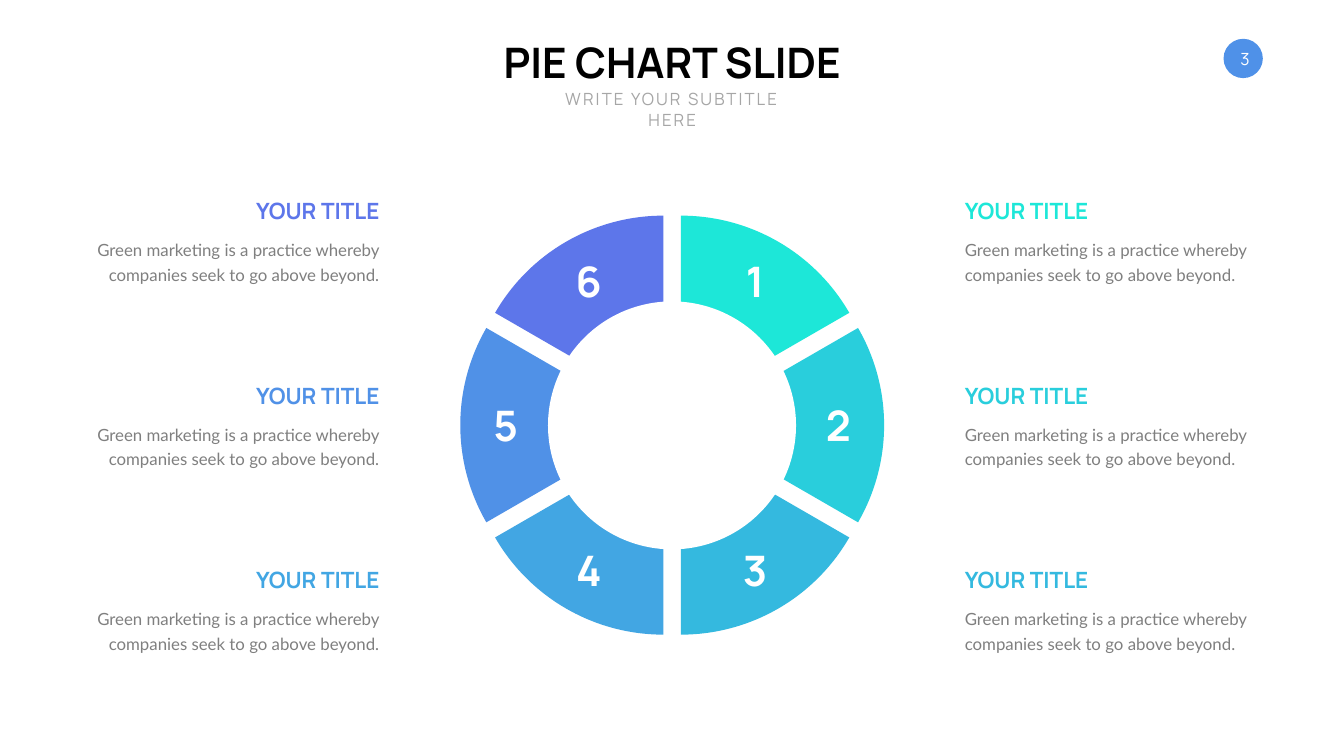
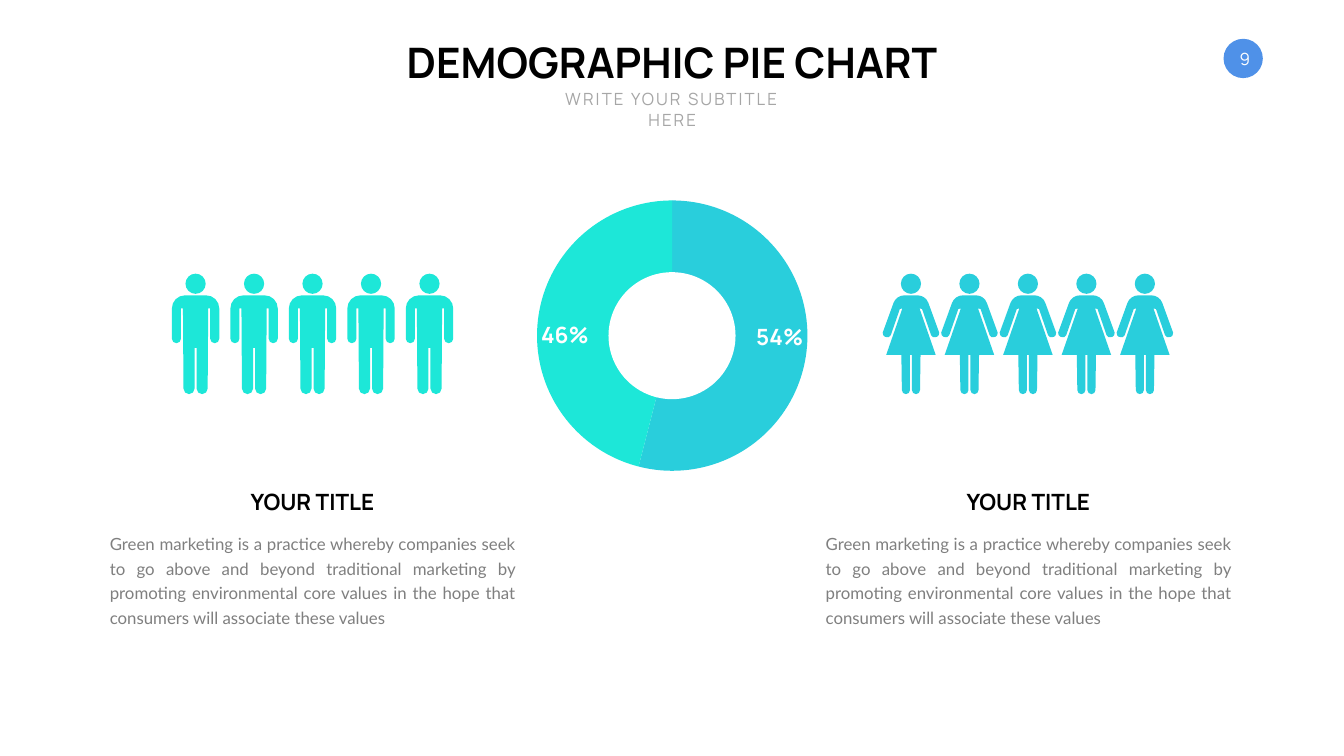
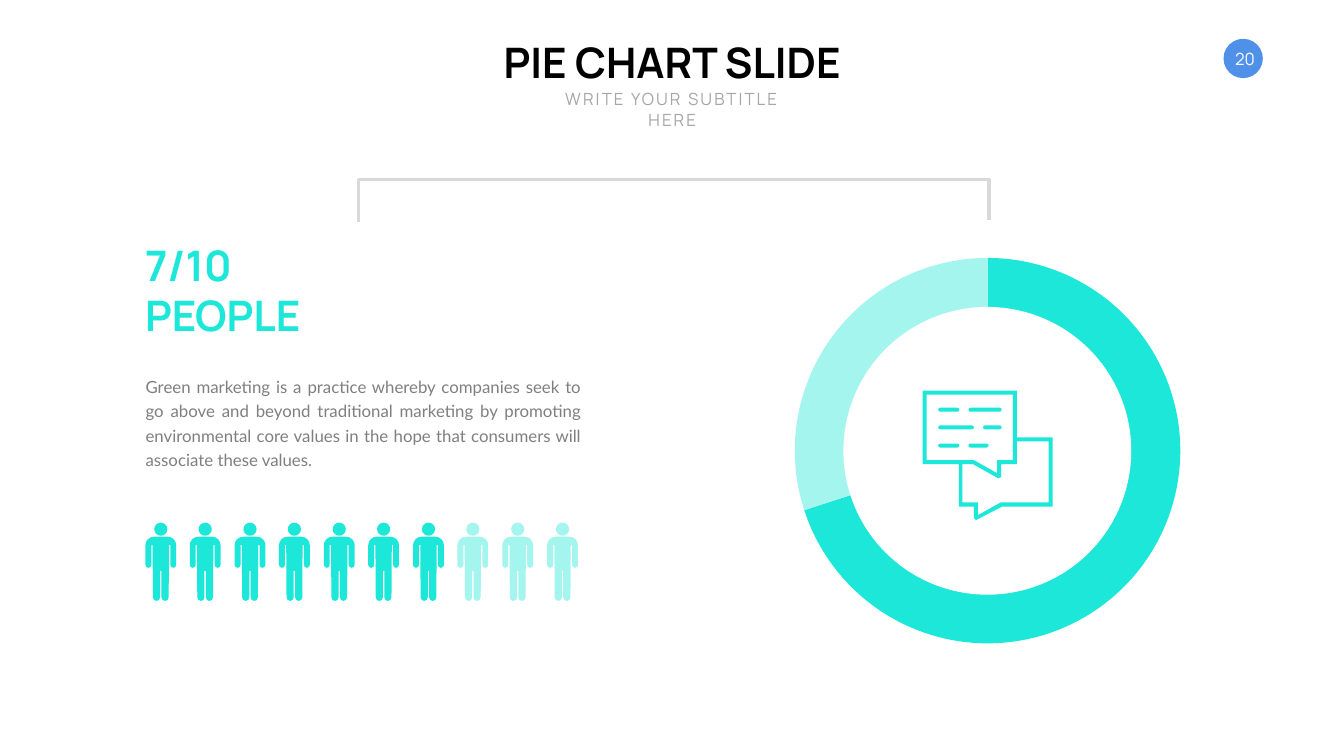
from math import cos, radians, sin

from lxml import etree
from pptx import Presentation
from pptx import util as u
from pptx.chart.data import CategoryChartData
from pptx.dml.color import RGBColor
from pptx.enum import chart as ch
from pptx.enum import shapes, text
from pptx.oxml.ns import qn

PX = 9144  # one px is a hundredth of an inch
WIDE, HIGH, MID = 2666, 1500, 1333
HUES = {
    "ink": "000000", "white": "FFFFFF", "body": "7F7F7F", "sub": "A6A6A6",
    "rule": "D9D9D9", "badge": "4F91E8", "pale": "A5F5EF",
    "aqua": "1DE7D8", "cyan": "29CEDC", "sky": "34B9DF",
    "azure": "42A6E3", "blue": "5091E7", "iris": "5D76EA",
}
HEAD, BODY = "Manrope", "Lato"
LEFT, RIGHT = text.PP_ALIGN.LEFT, text.PP_ALIGN.RIGHT
CENTER, FULL = text.PP_ALIGN.CENTER, text.PP_ALIGN.JUSTIFY
TOP, MIDDLE = text.MSO_ANCHOR.TOP, text.MSO_ANCHOR.MIDDLE

SHORT = "Green marketing is a practice whereby companies seek to go above beyond."
LONG = ("Green marketing is a practice whereby companies seek to go above and "
        "beyond traditional marketing by promoting environmental core values "
        "in the hope that consumers will associate these values")


# Outlines, as lists of points
def arc(cx, cy, r, start, end, steps=4):
    turns = [radians(start + (end - start) * i / steps) for i in range(steps + 1)]
    return [(cx + r * cos(t), cy + r * sin(t)) for t in turns]


def person(half):
    """Mirror half a body about x = 0 and add the head."""
    return [half + [(-x, y) for x, y in reversed(half)], arc(0, 20, 20, 0, 337.5, 15)]


def slot(left, right, y):
    return arc(right - 4, y, 4, -90, 90) + arc(left + 4, y, 4, 90, 270)


MAN = person(arc(21, 69, 26, -90, 0) + arc(38, 129, 9, 0, 180)
             + [(29, 69), (25, 69)] + arc(13, 228, 11, 0, 180) + [(2, 147)])
WOMAN = person(arc(13, 66, 23, -90, -20)
               + [(56, 117), (55, 122), (52, 125), (48, 126), (44, 126), (40, 122),
                  (22, 70), (17, 69), (49, 161), (19, 161)]
               + arc(10, 231, 8, 0, 180) + [(2, 161)])
CHAT = [
    [(0, 0), (187, 0), (187, 93), (258, 93), (258, 230), (158, 230), (106, 257),
     (102, 253), (102, 230), (72, 230), (72, 146), (0, 146)],
    [(8, 8), (8, 138), (102, 138), (148, 164), (148, 138), (179, 138), (179, 8)],
    [(187, 101), (187, 146), (156, 146), (156, 172), (150, 174), (100, 146),
     (79, 146), (79, 222), (110, 222), (110, 247), (155, 222), (250, 222), (250, 101)],
] + [slot(*s) for s in [(31, 73, 38), (91, 157, 38), (31, 102, 73),
                        (120, 157, 73), (31, 73, 109), (91, 131, 109)]]


class Deck:
    def __init__(self):
        self.prs = Presentation()
        self.prs.slide_width, self.prs.slide_height = WIDE * PX, HIGH * PX
        self.slide = None

    def hue(self, name):
        return RGBColor.from_string(HUES[name])

    def paint(self, shape, fill=None, line=None, width=0):
        shape.shadow.inherit = False
        if fill:
            shape.fill.solid()
            shape.fill.fore_color.rgb = self.hue(fill)
        else:
            shape.fill.background()
        if line:
            shape.line.color.rgb = self.hue(line)
            shape.line.width = u.Pt(width)
        else:
            shape.line.fill.background()

    def page(self, title, width, number):
        """Start a slide with its badge, title and subtitle."""
        self.slide = self.prs.slides.add_slide(self.prs.slide_layouts[6])
        self.disc(2427, 77, 78, "badge")
        num = self.words(2435, 83, 69, 69, number, 24, "white", CENTER, MIDDLE)
        for side in ("left", "right", "top", "bottom"):
            setattr(num.text_frame, "margin_" + side, 0)
        self.words(MID - width // 2, 67, width, 111, title, 60, "ink", CENTER, bold=True)
        sub = self.words(1062, 172, 543, 50, "WRITE YOUR SUBTITLE HERE", 24,
                         "sub", CENTER, wrap=True)
        run = sub.text_frame.paragraphs[0].runs[0]
        run.font._element.set("spc", "300")

    def words(self, x, y, w, h, copy, size, color, align=LEFT, anchor=TOP,
              bold=False, wrap=False, face=HEAD):
        box = self.slide.shapes.add_textbox(x * PX, y * PX, w * PX, h * PX)
        frame = box.text_frame
        frame.text = copy
        frame.word_wrap = wrap
        frame.auto_size = text.MSO_AUTO_SIZE.SHAPE_TO_FIT_TEXT
        frame.vertical_anchor = anchor
        para = frame.paragraphs[0]
        para.alignment = align
        font = para.runs[0].font
        font.name, font.size, font.bold = face, u.Pt(size), bold
        font.color.rgb = self.hue(color)
        return box

    def label(self, x, y, color, align):
        self.words(x, y, 268, 64, "YOUR TITLE", 32, color, align, MIDDLE, bold=True)

    def prose(self, x, y, w, h, copy, align):
        box = self.words(x, y, w, h, copy, 24, "body", align, wrap=True, face=BODY)
        para = box.text_frame.paragraphs[0]
        para.line_spacing, para.space_before = u.Pt(35), u.Pt(5)

    def disc(self, x, y, size, color):
        oval = self.slide.shapes.add_shape(
            shapes.MSO_SHAPE.OVAL, x * PX, y * PX, size * PX, size * PX)
        self.paint(oval, color)

    def trace(self, x, y, loops, fill=None, zoom=1, line=None, width=0):
        """Draw loops of points; without a fill they stay open."""
        loops = [[((x + a * zoom) * PX, (y + b * zoom) * PX) for a, b in loop]
                 for loop in loops]
        pen = self.slide.shapes.build_freeform(*loops[0][0], scale=1.0)
        for i, loop in enumerate(loops):
            if i:
                pen.move_to(*loop[0])
            pen.add_line_segments(loop[1:], close=bool(fill))
        self.paint(pen.convert_to_shape(), fill, line, width)

    def ring(self, x, y, size, vals, colors, hole, burst=0, labels=False):
        """Draw a pie with a white disc over its middle."""
        data = CategoryChartData()
        data.categories = [str(i + 1) for i in range(len(vals))]
        data.add_series("Series 1", vals)
        pie = self.slide.shapes.add_chart(
            ch.XL_CHART_TYPE.PIE, x * PX, y * PX, size * PX, size * PX, data).chart
        pie.has_legend = pie.has_title = False
        pie.font.name, pie.font.size = (HEAD, u.Pt(32)) if labels else ("Calibri", u.Pt(10))
        pie.font.bold = labels
        pie.font.color.rgb = self.hue("white" if labels else "body")
        plot = pie.plots[0]
        plot.vary_by_categories = True
        series = plot.series[0]
        series.format.line.fill.background()
        for i, color in enumerate(colors):
            form = series.points[i].format
            form.fill.solid()
            form.fill.fore_color.rgb = self.hue(color)
            form.line.fill.background()
        if labels:
            tags = series.data_labels
            tags.show_percentage, tags.show_value = True, False
            tags.number_format, tags.number_format_is_linked = "0%", False
            tags.position = ch.XL_LABEL_POSITION.INSIDE_END
        if burst:
            push = etree.Element(qn("c:explosion"), val=str(burst))
            series._element.find(qn("c:spPr")).addnext(push)
        self.fit(pie)
        gap = (size - hole) // 2
        self.disc(x + gap, y + gap, hole, "white")

    def fit(self, pie):
        """Let the plot fill its frame."""
        area = pie._chartSpace.find(".//" + qn("c:plotArea"))
        for old in area.findall(qn("c:layout")):
            area.remove(old)
        layout = etree.Element(qn("c:layout"))
        area.insert(0, layout)
        manual = etree.SubElement(layout, qn("c:manualLayout"))
        for tag, val in [("layoutTarget", "inner"), ("xMode", "edge"), ("yMode", "edge"),
                         ("x", "0.005"), ("y", "0.005"), ("w", "0.99"), ("h", "0.988")]:
            etree.SubElement(manual, qn("c:" + tag), val=val)


def six_parts(deck):
    deck.page("PIE CHART SLIDE", 695, "3")
    tones = ["aqua", "cyan", "sky", "azure", "blue", "iris"]
    deck.ring(908, 419, 851, [17] * 6, tones, 492, burst=9)
    # Captions on both sides
    for row in range(3):
        y = 386 + 366 * row
        deck.prose(1904, y + 77, 596, 103, SHORT, LEFT)
        deck.label(1904, y, tones[row], LEFT)
        deck.prose(166, y + 77, 596, 103, SHORT, RIGHT)
        deck.label(495, y, tones[5 - row], RIGHT)
    # Numbers around the ring
    for i in range(6):
        turn = radians(60 * i - 60)
        x, y = round(MID + 330 * cos(turn)), round(843 + 330 * sin(turn))
        deck.words(x - 37, y - 55, 74, 111, str(i + 1), 60, "white", CENTER,
                   MIDDLE, bold=True)


def two_groups(deck):
    deck.page("DEMOGRAPHIC PIE CHART", 1106, "9")
    deck.ring(1062, 395, 543, [54, 46], ["cyan", "aqua"], 252, labels=True)
    # Rows of people, each over its caption
    for x, first, body, color in [(208, 388, MAN, "aqua"), (1628, 1807, WOMAN, "cyan")]:
        for i in range(5):
            deck.trace(first + 116 * i, 543, body, color)
        deck.prose(x, 1046, 824, 201, LONG, FULL)
        deck.label(x + 278, 963, "ink", CENTER)


def seven_of_ten(deck):
    deck.page("PIE CHART SLIDE", 695, "20")
    deck.ring(1572, 508, 774, [70, 30], ["aqua", "pale"], 571)
    deck.trace(711, 356, [[(0, 84), (0, 0), (1251, 0), (1251, 80)]], line="rule", width=5)
    # Seven bright people and three pale ones
    for i in range(10):
        deck.trace(319 + 797 * i // 9, 1037, MAN, "aqua" if i < 7 else "pale", 0.65)
    deck.words(278, 519, 510, 111, "7/10 PEOPLE", 60, "aqua", LEFT, MIDDLE,
               bold=True, wrap=True)
    deck.prose(279, 733, 883, 201, LONG + ".", FULL)
    deck.trace(1830, 775, CHAT, "aqua")


def main():
    deck = Deck()
    six_parts(deck)
    two_groups(deck)
    seven_of_ten(deck)
    deck.prs.save("out.pptx")


if __name__ == "__main__":
    main()
